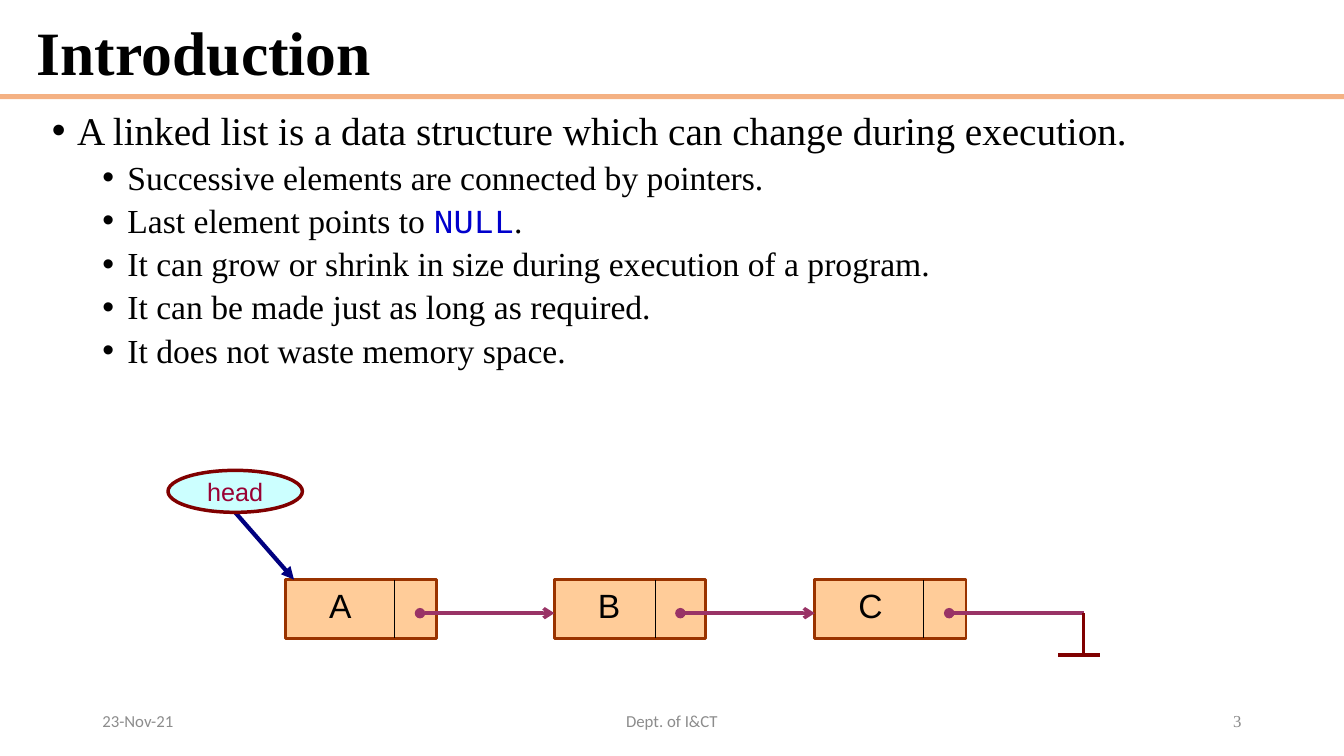
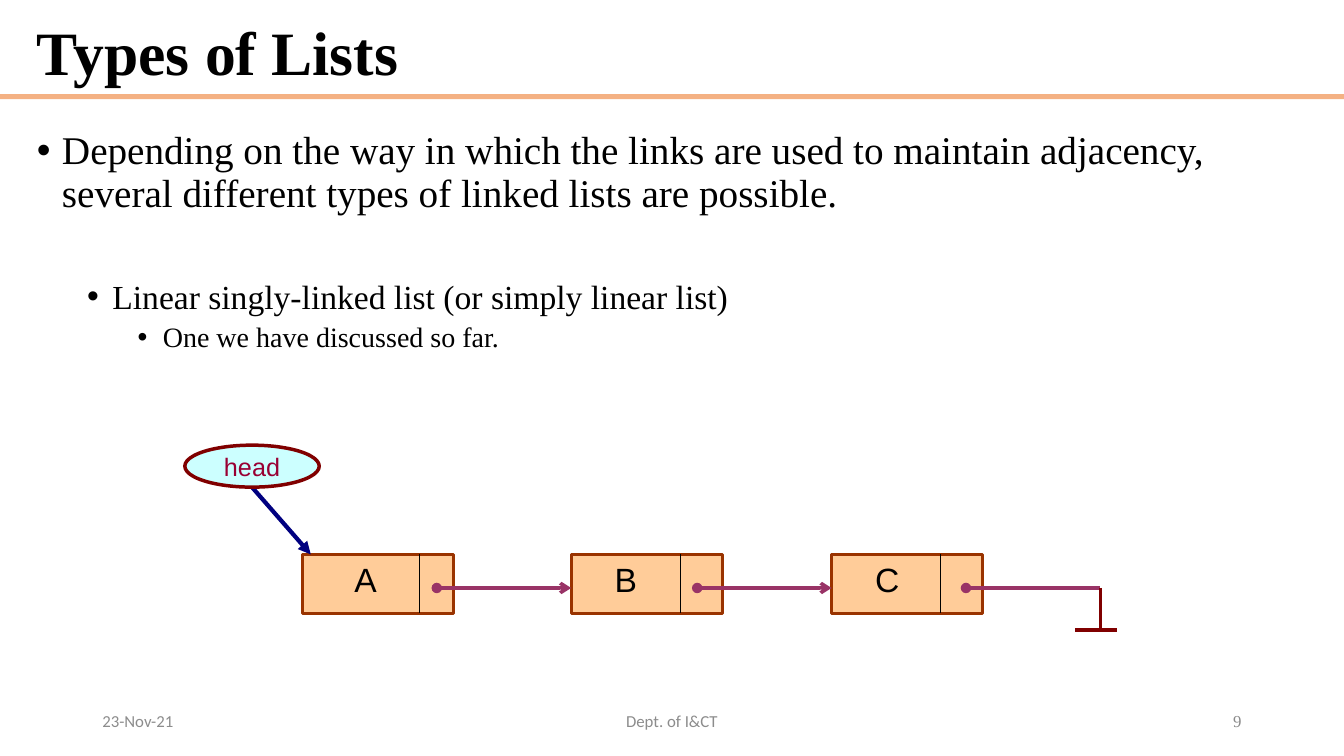
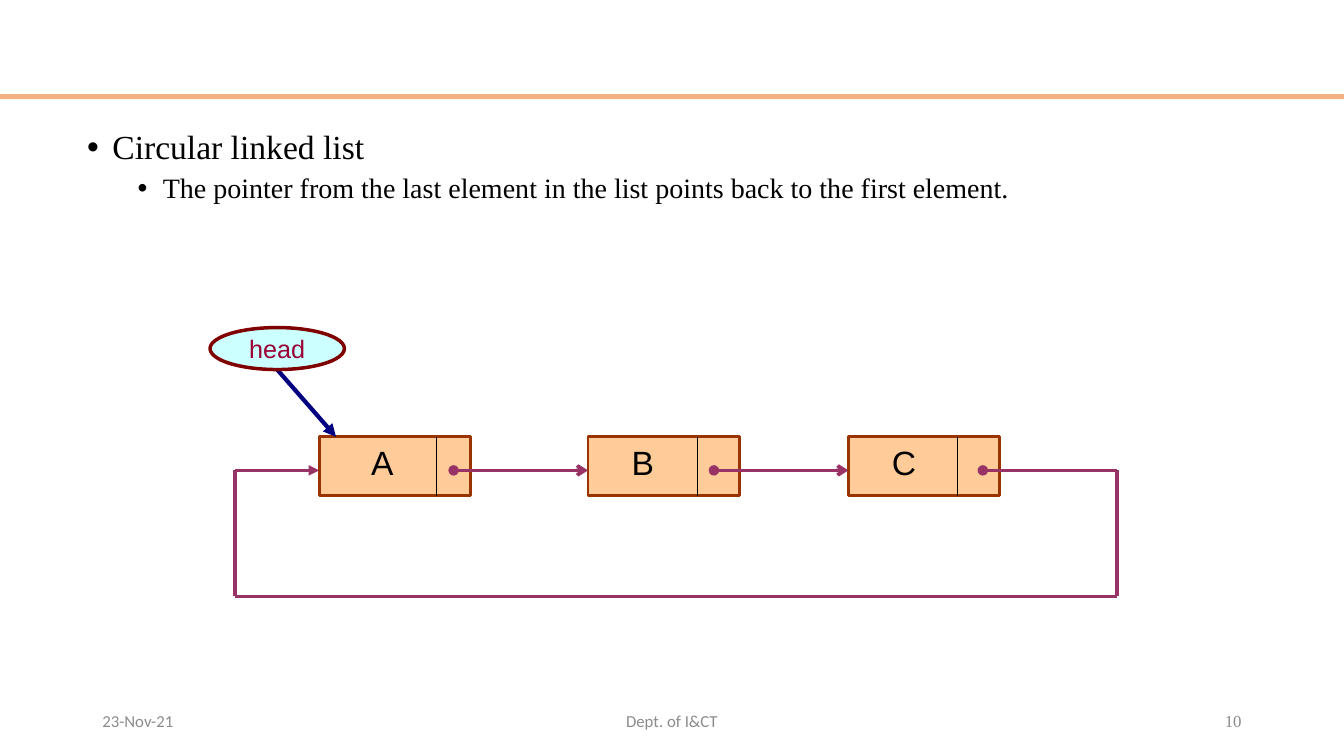
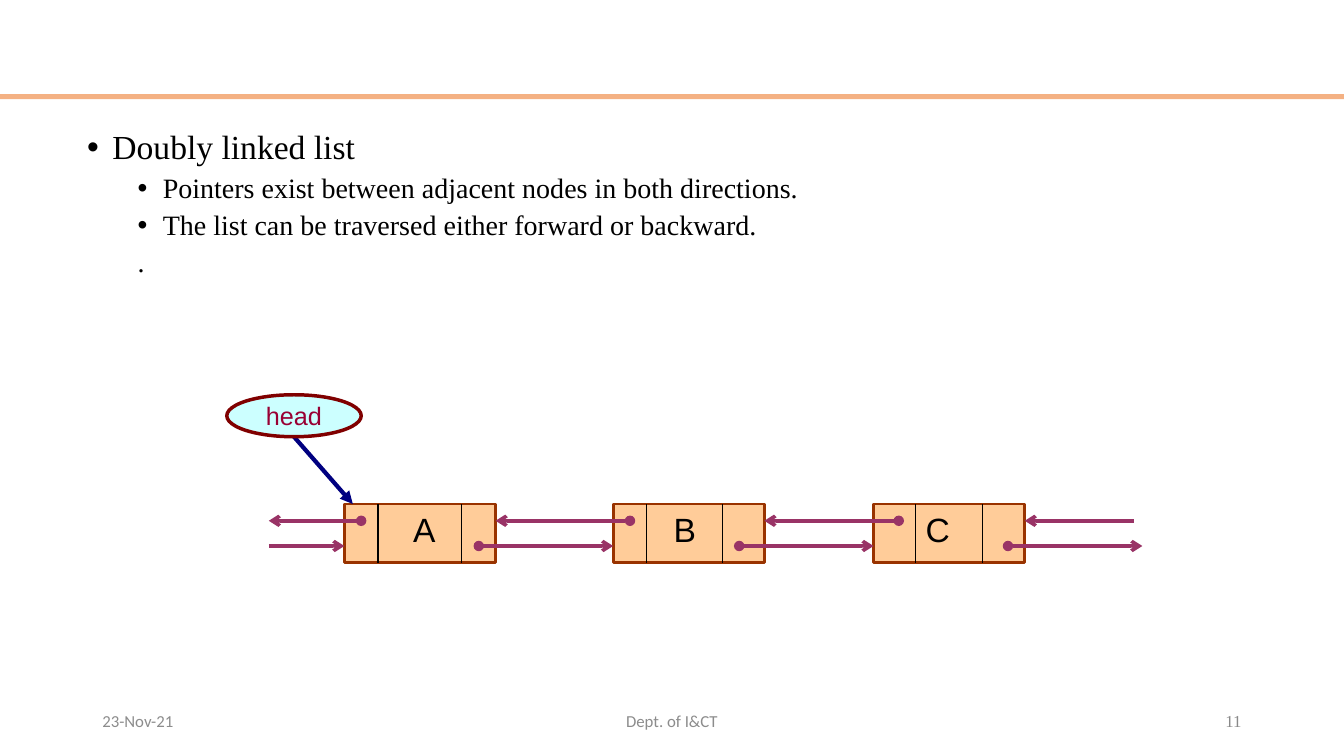
"""Build four slides that introduce linked lists and their types."""
from dataclasses import dataclass
from itertools import pairwise
from typing import NamedTuple

from lxml.etree import SubElement
from pptx import Presentation
from pptx.dml.color import RGBColor
from pptx.enum.shapes import MSO_CONNECTOR, MSO_SHAPE
from pptx.enum.text import MSO_ANCHOR, PP_ALIGN
from pptx.oxml.ns import qn
from pptx.slide import Slide
from pptx.text.text import Font
from pptx.util import Inches, Length, Pt


class Style(NamedTuple):
    """Typeface, size and colour of a piece of text."""
    name: str
    size: float
    color: str
    bold: bool = False


class Stroke(NamedTuple):
    """Colour and width of a line."""
    color: str
    width: float


@dataclass(frozen=True)
class Theme:
    """Colours and type sizes shared by all slides."""
    band: str = "F4B183"
    node_fill: str = "FFCC99"
    head_fill: str = "CCFFFF"
    code_color: str = "0000CC"
    code_font: str = "Courier New"
    bullet_font: str = "Arial"
    title: Style = Style("Times New Roman", 44, "000000", True)
    levels: tuple[Style, ...] = tuple(
        Style("Times New Roman", size, "000000") for size in (28, 24, 20))
    level_spaces: tuple[int, ...] = (10, 5, 5)
    footer: Style = Style("Calibri", 12, "8C8C8C")
    number: Style = Style("Times New Roman", 12, "898989")
    letter: Style = Style("Arial", 24, "000000")
    head: Style = Style("Arial", 18, "990033")
    node_edge: Stroke = Stroke("993300", 2)
    divider: Stroke = Stroke("000000", 0.75)
    link: Stroke = Stroke("993366", 2.5)
    ground: Stroke = Stroke("800000", 2.5)
    pointer: Stroke = Stroke("000080", 3)


class Box(NamedTuple):
    """Left, top, width and height in grid cells."""
    left: float
    top: float
    width: float
    height: float


class Point(NamedTuple):
    """Column and row on the grid."""
    column: float
    row: float


class Wire(NamedTuple):
    """A line between two points, with optional ends."""
    start: Point
    end: Point
    stroke: Stroke
    head: str = "none"
    tail: str = "none"


class Item(NamedTuple):
    """One body paragraph, with an optional code word and its ending."""
    text: str
    level: int
    code: str = ""
    ending: str = ""
    bulleted: bool = True
    space: float | None = None


@dataclass(frozen=True)
class Diagram:
    """A drawn list; columns and rows count from the first node's corner."""
    origin: Point
    dividers: tuple[int, ...]
    letters: tuple[int, ...]
    wires: tuple[Wire, ...]
    head_column: int = -14


@dataclass(frozen=True)
class Lesson:
    """The content of one slide."""
    number: int
    title: str
    items: tuple[Item, ...]
    diagram: Diagram
    body: Box = Box(3.2, 15, 154, 67.2)


THEME = Theme()
CELL = Inches(1) / 12
COLUMNS, ROWS = 160, 90
NODE_WIDTH, NODE_HEIGHT = 18, 7
NODE_COLUMNS = (0, 32, 63)
LINK_STARTS = (16, 47, 79)
LINK_LENGTH = 16
END_COLUMN = LINK_STARTS[-1] + LINK_LENGTH


def cells(count: float) -> Length:
    """Turn grid cells into a length."""
    return Length(round(count * CELL))


def apply_style(font: Font, style: Style) -> None:
    """Give a font the typeface, size and colour of a style."""
    font.name = style.name
    font.size = Pt(style.size)
    font.bold = style.bold
    font.color.rgb = RGBColor.from_string(style.color)


def add_label(slide: Slide, box: Box, text: str, style: Style,
              align: PP_ALIGN = PP_ALIGN.LEFT,
              anchor: MSO_ANCHOR = MSO_ANCHOR.MIDDLE,
              line_spacing: float = 1.0) -> None:
    """Add a one-paragraph text box."""
    frame = slide.shapes.add_textbox(*map(cells, box)).text_frame
    frame.word_wrap = True
    frame.vertical_anchor = anchor
    paragraph = frame.paragraphs[0]
    paragraph.text = text
    paragraph.alignment = align
    paragraph.line_spacing = line_spacing
    apply_style(paragraph.font, style)


def add_body(slide: Slide, box: Box, items: tuple[Item, ...]) -> None:
    """Add the bulleted text of a slide."""
    frame = slide.shapes.add_textbox(*map(cells, box)).text_frame
    frame.word_wrap = True
    for index, item in enumerate(items):
        paragraph = frame.add_paragraph() if index else frame.paragraphs[0]
        paragraph.level = item.level
        paragraph.line_spacing = 0.9
        if index:
            paragraph.space_before = Pt(
                item.space or THEME.level_spaces[item.level])
        properties = paragraph._p.get_or_add_pPr()
        hanging = 0.25 if item.bulleted else 0
        properties.set("marL", str(Inches(0.5 * item.level + hanging)))
        properties.set("indent", str(Inches(-hanging)))
        if item.bulleted:
            SubElement(properties, qn("a:buFont"), typeface=THEME.bullet_font)
            SubElement(properties, qn("a:buChar"), char="•")
        else:
            SubElement(properties, qn("a:buNone"))
        apply_style(paragraph.font, THEME.levels[item.level])
        paragraph.add_run().text = item.text
        if item.code:
            code = paragraph.add_run()
            code.text = item.code
            code.font.name = THEME.code_font
            code.font.color.rgb = RGBColor.from_string(THEME.code_color)
            paragraph.add_run().text = item.ending


def add_block(slide: Slide, preset: MSO_SHAPE, box: Box, fill: str,
              edge: Stroke | None = None, text: str = "") -> None:
    """Add a filled preset shape, with an optional edge and label."""
    block = slide.shapes.add_shape(preset, *map(cells, box))
    block.shadow.inherit = False
    block.fill.solid()
    block.fill.fore_color.rgb = RGBColor.from_string(fill)
    if edge:
        block.line.color.rgb = RGBColor.from_string(edge.color)
        block.line.width = Pt(edge.width)
    else:
        block.line.fill.background()
    if text:
        frame = block.text_frame
        frame.word_wrap = False
        frame.vertical_anchor = MSO_ANCHOR.MIDDLE
        paragraph = frame.paragraphs[0]
        paragraph.text = text
        paragraph.alignment = PP_ALIGN.CENTER
        apply_style(paragraph.font, THEME.head)


def add_wire(slide: Slide, origin: Point, wire: Wire) -> None:
    """Draw a wire whose points count from the origin."""
    ends = [cells(base + offset) for point in (wire.start, wire.end)
            for base, offset in zip(origin, point)]
    connector = slide.shapes.add_connector(MSO_CONNECTOR.STRAIGHT, *ends)
    connector.line.color.rgb = RGBColor.from_string(wire.stroke.color)
    connector.line.width = Pt(wire.stroke.width)
    properties = connector.element.spPr
    outline = properties.find(qn("a:ln"))
    SubElement(outline, qn("a:headEnd"), type=wire.head)
    SubElement(outline, qn("a:tailEnd"), type=wire.tail)
    SubElement(properties, qn("a:effectLst"))


def forward_links(row: int, last_tail: str = "none") -> tuple[Wire, ...]:
    """Return the links that leave the nodes to the right."""
    return tuple(
        Wire(Point(start, row), Point(start + LINK_LENGTH, row),
             THEME.link, "oval", tail)
        for start, tail in zip(LINK_STARTS, ("arrow", "arrow", last_tail)))


def ground() -> tuple[Wire, ...]:
    """Return the symbol that ends a linear list."""
    return (Wire(Point(END_COLUMN, 4), Point(END_COLUMN, 9), THEME.ground),
            Wire(Point(END_COLUMN - 3, 9), Point(END_COLUMN + 2, 9),
                 THEME.ground))


def return_path() -> tuple[Wire, ...]:
    """Return the path from the last node back to the first."""
    corners = (Point(END_COLUMN, 4), Point(END_COLUMN, 19), Point(-10, 19),
               Point(-10, 4), Point(0, 4))
    return tuple(
        Wire(start, end, THEME.link,
             tail="triangle" if end == corners[-1] else "none")
        for start, end in pairwise(corners))


def backward_links() -> tuple[Wire, ...]:
    """Return the links to the left and the open link into the first node."""
    spans = ((2, -9, "oval"), (34, 18, "oval"), (66, 50, "oval"),
             (94, 81, "none"))
    leftward = tuple(
        Wire(Point(start, 2), Point(end, 2), THEME.link, head, "arrow")
        for start, end, head in spans)
    return leftward + (
        Wire(Point(-9, 5), Point(0, 5), THEME.link, tail="arrow"),)


def add_diagram(slide: Slide, diagram: Diagram) -> None:
    """Draw the nodes, their links and the head pointer."""
    left, top = diagram.origin
    for column in NODE_COLUMNS:
        add_block(slide, MSO_SHAPE.RECTANGLE,
                  Box(left + column, top, NODE_WIDTH, NODE_HEIGHT),
                  THEME.node_fill, THEME.node_edge)
    dividers = tuple(
        Wire(Point(column, 0), Point(column, NODE_HEIGHT), THEME.divider)
        for column in diagram.dividers)
    head = diagram.head_column
    pointer = Wire(Point(head + 8, -8), Point(head + 15, 0), THEME.pointer,
                   tail="triangle")
    for wire in diagram.wires + dividers + (pointer,):
        add_wire(slide, diagram.origin, wire)
    for letter, column in zip("ABC", diagram.letters):
        add_label(slide, Box(left + column, top, 8, 6), letter, THEME.letter,
                  anchor=MSO_ANCHOR.TOP)
    add_block(slide, MSO_SHAPE.OVAL, Box(left + head, top - 13, 16, 5),
              THEME.head_fill, THEME.ground, "head")


def add_frame(slide: Slide, lesson: Lesson) -> None:
    """Add the band, title and footers that the slides share."""
    add_block(slide, MSO_SHAPE.RECTANGLE, Box(0, 11.2, COLUMNS, 0.6),
              THEME.band)
    if lesson.title:
        add_label(slide, Box(3.2, 1.8, 145.8, 9.5), lesson.title, THEME.title,
                  line_spacing=0.9)
    footers = (
        (11, 36, "23-Nov-21", THEME.footer, PP_ALIGN.LEFT),
        (53, 54, "Dept. of I&CT", THEME.footer, PP_ALIGN.CENTER),
        (113, 36, str(lesson.number), THEME.number, PP_ALIGN.RIGHT))
    for left, width, text, style, align in footers:
        add_label(slide, Box(left, 83.4, width, 4.8), text, style, align)


LESSONS = (
    Lesson(
        3, "Introduction",
        (Item("A linked list is a data structure which can change during "
              "execution.", 0),
         Item("Successive elements are connected by pointers.", 1),
         Item("Last element points to ", 1, "NULL", "."),
         Item("It can grow or shrink in size during execution of a program.",
              1),
         Item("It can be made just as long as required.", 1),
         Item("It does not waste memory space.", 1)),
        Diagram(Point(34, 69), (13, 44, 76), (4, 36, 67),
                forward_links(4) + ground()),
        Box(5, 12.7, 152.6, 62)),
    Lesson(
        9, "Types of Lists",
        (Item("Depending on the way in which the links are used to maintain "
              "adjacency, several different types of linked lists are "
              "possible.", 0),
         Item("Linear singly-linked list (or simply linear list)", 1,
              space=46),
         Item("One we have discussed so far.", 2)),
        Diagram(Point(36, 66), (14, 45, 76), (5, 36, 67),
                forward_links(4) + ground())),
    Lesson(
        10, "",
        (Item("Circular linked list", 1),
         Item("The pointer from the last element in the list points back to "
              "the first element.", 2)),
        Diagram(Point(38, 52), (14, 45, 76), (5, 36, 67),
                forward_links(4) + return_path(), head_column=-13)),
    Lesson(
        11, "",
        (Item("Doubly linked list", 1),
         Item("Pointers exist between adjacent nodes in both directions.", 2),
         Item("The list can be traversed either forward or backward.", 2),
         Item(".", 2, bulleted=False)),
        Diagram(Point(41, 60), (4, 14, 36, 45, 68, 76), (7, 38, 68),
                forward_links(5, "arrow") + backward_links())),
)


def main() -> None:
    """Build and save the presentation."""
    deck = Presentation()
    deck.slide_width, deck.slide_height = cells(COLUMNS), cells(ROWS)
    blank = deck.slide_layouts[6]
    for lesson in LESSONS:
        slide = deck.slides.add_slide(blank)
        add_frame(slide, lesson)
        add_body(slide, lesson.body, lesson.items)
        add_diagram(slide, lesson.diagram)
    deck.save("out.pptx")


if __name__ == "__main__":
    main()
